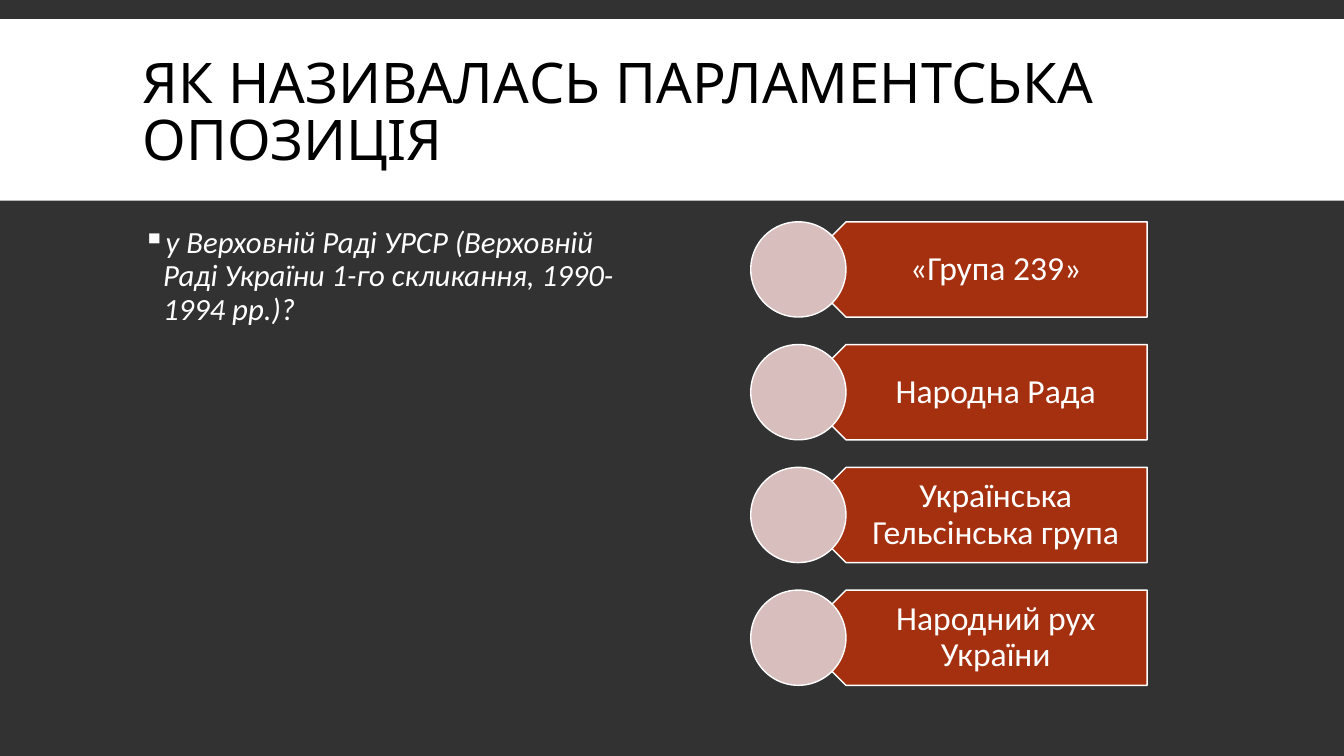
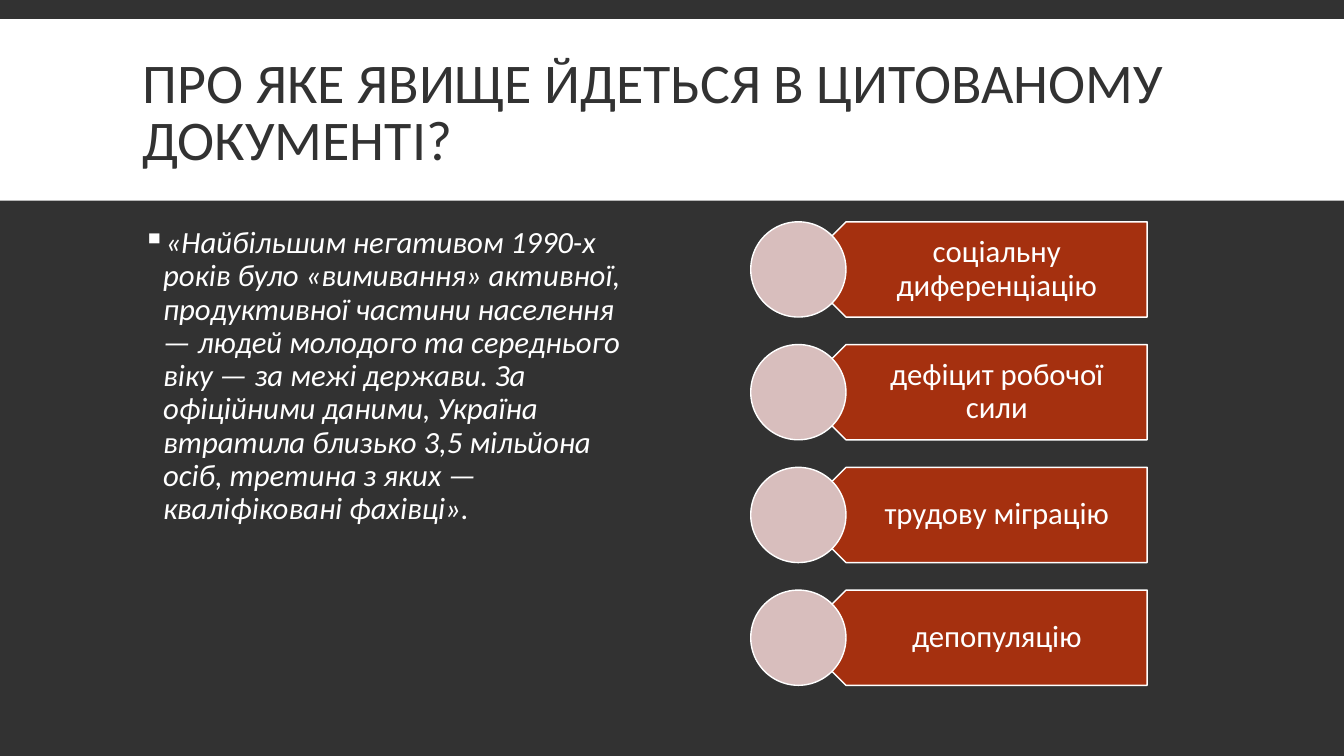
from lxml import etree
from pptx import Presentation
from pptx.dml.color import RGBColor
from pptx.enum.shapes import MSO_SHAPE
from pptx.enum.text import MSO_ANCHOR, PP_ALIGN
from pptx.oxml.ns import qn
from pptx.util import Cm, Pt

RECT, PLATE, OVAL = MSO_SHAPE.RECTANGLE, MSO_SHAPE.PENTAGON, MSO_SHAPE.OVAL
TOP, MIDDLE = MSO_ANCHOR.TOP, MSO_ANCHOR.MIDDLE
LEFT, CENTER = PP_ALIGN.LEFT, PP_ALIGN.CENTER

DARK = RGBColor(0x32, 0x32, 0x32)
WHITE = RGBColor(0xFF, 0xFF, 0xFF)
BLACK = RGBColor(0, 0, 0)
RUST = RGBColor(0xA5, 0x30, 0x0F)
ROSE = RGBColor(0xD8, 0xBE, 0xBD)
FONT = "Calibri"

SLIDES = [
    {
        "title": "ЯК НАЗИВАЛАСЬ ПАРЛАМЕНТСЬКА ОПОЗИЦІЯ",
        "font": "Quicksand",
        "color": BLACK,
        "body": "у Верховній Раді УРСР (Верховній Раді України 1-го скликання, "
                "1990-1994 рр.)?",
        "size": 24,
        "pad": (1.04, 0.25, 0.48, 0.25),
        "answers": ["«Група 239»", "Народна Рада",
                    "Українська Гельсінська група", "Народний рух України"],
    },
    {
        "title": "ПРО ЯКЕ ЯВИЩЕ ЙДЕТЬСЯ В ЦИТОВАНОМУ ДОКУМЕНТІ?",
        "font": FONT,
        "color": DARK,
        "body": "«Найбільшим негативом 1990-х років було «вимивання» активної, "
                "продуктивної частини населення — людей молодого та середнього "
                "віку — за межі держави. За офіційними даними, Україна втратила "
                "близько 3,5 мільйона осіб, третина з яких — кваліфіковані "
                "фахівці».",
        "size": 22,
        "pad": (1.04, 0.23, 0.43, 0.23),
        "answers": ["соціальну диференціацію", "дефіцит робочої сили",
                    "трудову міграцію", "депопуляцію"],
    },
]

WIDTH, HEIGHT = 33.87, 19.05
EDGE, BODY_TOP, BODY_H = 3.35, 5.59, 11.68
DISC_X, DISC = 18.92, 2.4
PLATE_X, PLATE_W = DISC_X + DISC / 2, 8.79
LABEL_W = PLATE_W - DISC / 4


def add_form(slide, kind, box, fill, line=None):
    form = slide.shapes.add_shape(kind, *map(Cm, box))
    form.shadow.inherit = False
    form.fill.solid()
    form.fill.fore_color.rgb = fill
    if line is None:
        form.line.fill.background()
    else:
        form.line.color.rgb = line
        form.line.width = Pt(1)
    return form


def add_text(slide, box, text, size, color=WHITE, font=FONT, anchor=MIDDLE,
             align=LEFT, space=0.9, pad=(0.25, 0.13, 0.25, 0.13),
             italic=False, bullet=False):
    frame = slide.shapes.add_textbox(*map(Cm, box)).text_frame
    frame.word_wrap = True
    frame.vertical_anchor = anchor
    (frame.margin_left, frame.margin_top,
     frame.margin_right, frame.margin_bottom) = map(Cm, pad)
    frame.text = text
    para = frame.paragraphs[0]
    para.alignment = align
    para.line_spacing = space
    if bullet:
        add_bullet(para)
    for run in para.runs:
        run.font.name = font
        run.font.size = Pt(size)
        run.font.color.rgb = color
        run.font.italic = italic


def add_bullet(para):
    props = para._p.get_or_add_pPr()
    props.set("marL", str(Cm(0.51)))
    props.set("indent", str(-Cm(0.51)))
    tint = etree.SubElement(props, qn("a:buClr"))
    etree.SubElement(tint, qn("a:srgbClr")).set("val", str(WHITE))
    etree.SubElement(props, qn("a:buChar")).set("char", "▪")


def add_answers(slide, answers, size, pad):
    pitch = (BODY_H - DISC) / (len(answers) - 1)
    for row, answer in enumerate(answers):
        top = BODY_TOP + row * pitch
        plate = add_form(slide, PLATE, (PLATE_X, top, PLATE_W, DISC), RUST, WHITE)
        plate.rotation = 180
        label = (PLATE_X + PLATE_W - LABEL_W, top, LABEL_W, DISC)
        add_text(slide, label, answer, size, align=CENTER, pad=pad)
        add_form(slide, OVAL, (DISC_X, top, DISC, DISC), ROSE, WHITE)


def add_slide(deck, data):
    slide = deck.slides.add_slide(deck.slide_layouts[6])
    slide.background.fill.solid()
    slide.background.fill.fore_color.rgb = DARK
    add_form(slide, RECT, (0, 0.48, WIDTH, 4.58), WHITE)
    add_text(slide, (EDGE, 0.79, 27.18, 4.19), data["title"], 40,
             data["color"], data["font"], space=0.85)
    add_text(slide, (EDGE, BODY_TOP, 13.21, BODY_H), data["body"], 22,
             anchor=TOP, italic=True, bullet=True)
    add_answers(slide, data["answers"], data["size"], data["pad"])


def main():
    deck = Presentation()
    deck.slide_width, deck.slide_height = Cm(WIDTH), Cm(HEIGHT)
    for data in SLIDES:
        add_slide(deck, data)
    deck.save("out.pptx")


if __name__ == "__main__":
    main()
